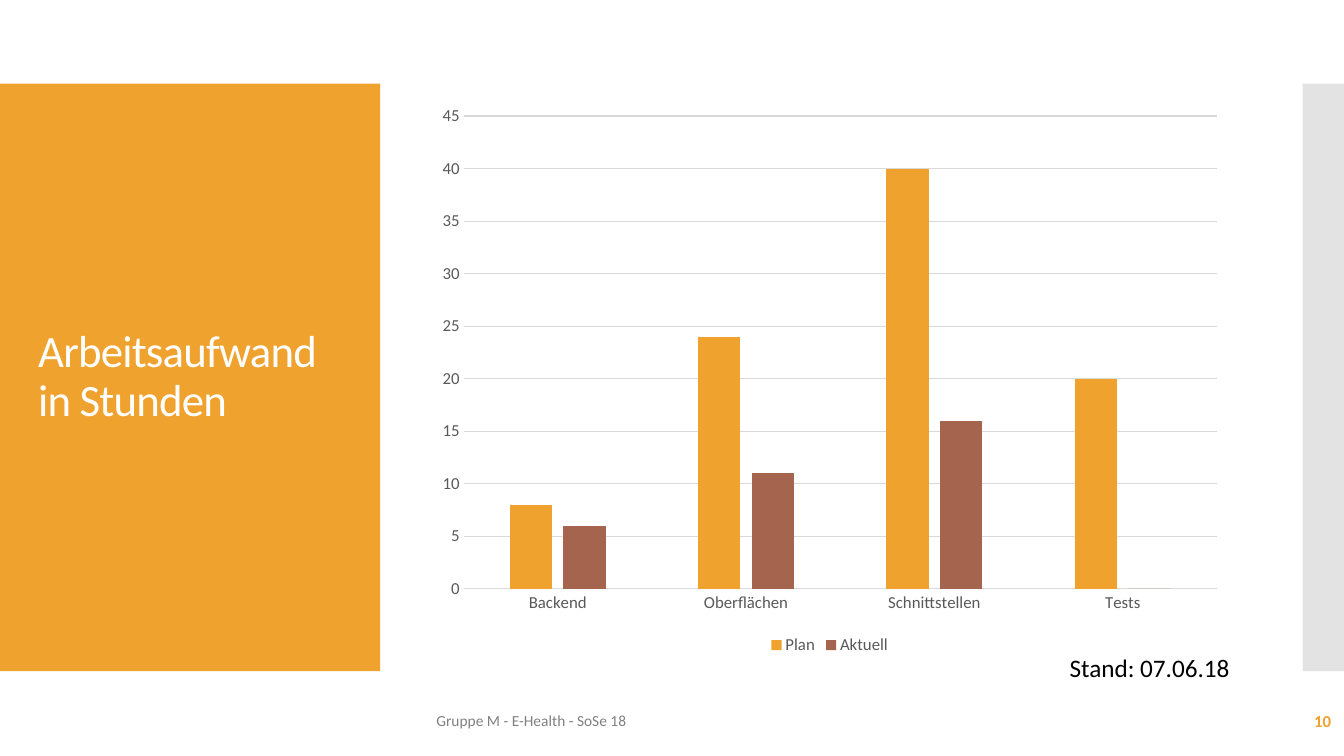
from dataclasses import dataclass

from lxml.etree import SubElement
from pptx import Presentation
from pptx.chart.data import CategoryChartData
from pptx.dml.color import RGBColor
from pptx.enum.chart import XL_CHART_TYPE, XL_LEGEND_POSITION, XL_TICK_MARK
from pptx.enum.shapes import MSO_SHAPE
from pptx.enum.text import MSO_ANCHOR, PP_ALIGN
from pptx.oxml.ns import qn
from pptx.util import Inches, Pt


@dataclass(frozen=True)
class Theme:
    """Colours, font and type sizes of the slide."""
    font: str = "Calibri"
    accent: str = "F0A22E"
    second: str = "A5644E"
    band: str = "C8C8C8"
    grid: str = "D9D9D9"
    label: str = "595959"
    footer: str = "808080"
    white: str = "FFFFFF"
    black: str = "000000"
    title_size: int = 32
    date_size: int = 18
    label_size: int = 12
    footer_size: int = 11


THEME = Theme()


def rgb(color):
    """Turn a hex string into a colour."""
    return RGBColor.from_string(color)


def style_font(font, size, color, bold=False):
    """Apply the theme font with a size and colour."""
    font.name = THEME.font
    font.size = Pt(size)
    font.bold = bold
    font.color.rgb = rgb(color)


def add_panel(slide, box, color, opacity=100):
    """Add a borderless rectangle, optionally translucent."""
    panel = slide.shapes.add_shape(MSO_SHAPE.RECTANGLE, *map(Inches, box))
    panel.shadow.inherit = False
    panel.line.fill.background()
    panel.fill.solid()
    panel.fill.fore_color.rgb = rgb(color)
    if opacity < 100:
        color_element = next(panel.fill._xPr.iter(qn("a:srgbClr")))
        SubElement(color_element, qn("a:alpha")).set("val", str(opacity * 1000))


def add_text(slide, box, text, size, color, bold=False,
             anchor=MSO_ANCHOR.MIDDLE, align=PP_ALIGN.LEFT):
    """Add a one-paragraph text box and return its paragraph."""
    text_box = slide.shapes.add_textbox(*map(Inches, box))
    frame = text_box.text_frame
    frame.word_wrap = True
    frame.vertical_anchor = anchor
    paragraph = frame.paragraphs[0]
    paragraph.text = text
    paragraph.alignment = align
    style_font(paragraph.font, size, color, bold)
    return paragraph


def add_title_panel(slide, box):
    """Add the coloured panel with the slide title inside it."""
    left, top, width, height = box
    add_panel(slide, box, THEME.accent)
    inner = (left + 0.28, top + 0.4, width - 0.55, height - 0.8)
    title = add_text(slide, inner, "Arbeitsaufwand in Stunden",
                     THEME.title_size, THEME.white)
    title.line_spacing = 0.9
    title.runs[0]._r.get_or_add_rPr().set("spc", "-60")


def style_line(line, color):
    """Give a chart line its colour and thin width."""
    line.color.rgb = rgb(color)
    line.width = Pt(0.75)


def add_effort_chart(slide, box):
    """Add the chart of planned and current hours with its date below."""
    left, top, width, height = box
    data = CategoryChartData(number_format="General")
    data.categories = ["Backend", "Oberflächen", "Schnittstellen", "Tests"]
    data.add_series("Plan", (8, 24, 40, 20))
    data.add_series("Aktuell", (6, 11, 16, 0))
    chart = slide.shapes.add_chart(
        XL_CHART_TYPE.COLUMN_CLUSTERED, *map(Inches, box), data).chart
    style_font(chart.font, THEME.label_size, THEME.label)
    chart.has_title = False
    chart.has_legend = True
    chart.legend.position = XL_LEGEND_POSITION.BOTTOM
    chart.legend.include_in_layout = False
    style_font(chart.legend.font, THEME.label_size, THEME.label)

    plot = chart.plots[0]
    plot.gap_width = 219
    plot.overlap = -27
    plot.vary_by_categories = False
    for series, color in zip(plot.series, (THEME.accent, THEME.second)):
        series.format.fill.solid()
        series.format.fill.fore_color.rgb = rgb(color)
        series.invert_if_negative = False

    for axis in (chart.category_axis, chart.value_axis):
        axis.major_tick_mark = XL_TICK_MARK.NONE
        axis.minor_tick_mark = XL_TICK_MARK.NONE
        style_font(axis.tick_labels.font, THEME.label_size, THEME.label)
    style_line(chart.category_axis.format.line, THEME.grid)
    values = chart.value_axis
    values.minimum_scale, values.maximum_scale, values.major_unit = 0, 45, 5
    values.format.line.fill.background()
    values.has_major_gridlines = True
    style_line(values.major_gridlines.format.line, THEME.grid)

    add_text(slide, (left + width - 1.72, top + height - 0.12, 1.88, 0.4),
             "Stand: 07.06.18", THEME.date_size, THEME.black,
             anchor=MSO_ANCHOR.TOP)


def add_footer(slide, box):
    """Add the group name at the left and the slide number at the right."""
    left, top, width, height = box
    number_width = 1.67
    add_text(slide, (left + width - number_width, top, number_width, height),
             "10", THEME.label_size, THEME.accent, bold=True,
             align=PP_ALIGN.RIGHT)
    add_text(slide, (left, top, 6.46, height), "Gruppe M - E-Health - SoSe 18",
             THEME.footer_size, THEME.footer)


def build_presentation():
    """Build the one-slide presentation."""
    presentation = Presentation()
    presentation.slide_width = Inches(13.33)
    presentation.slide_height = Inches(7.5)
    slide = presentation.slides.add_slide(presentation.slide_layouts[6])
    add_title_panel(slide, (0, 0.83, 3.77, 5.83))
    add_panel(slide, (12.92, 0.83, 0.41, 5.83), THEME.band, opacity=50)
    add_effort_chart(slide, (4.23, 0.94, 8, 5.6))
    add_footer(slide, (4.23, 6.95, 9.07, 0.4))
    return presentation


build_presentation().save("out.pptx")
